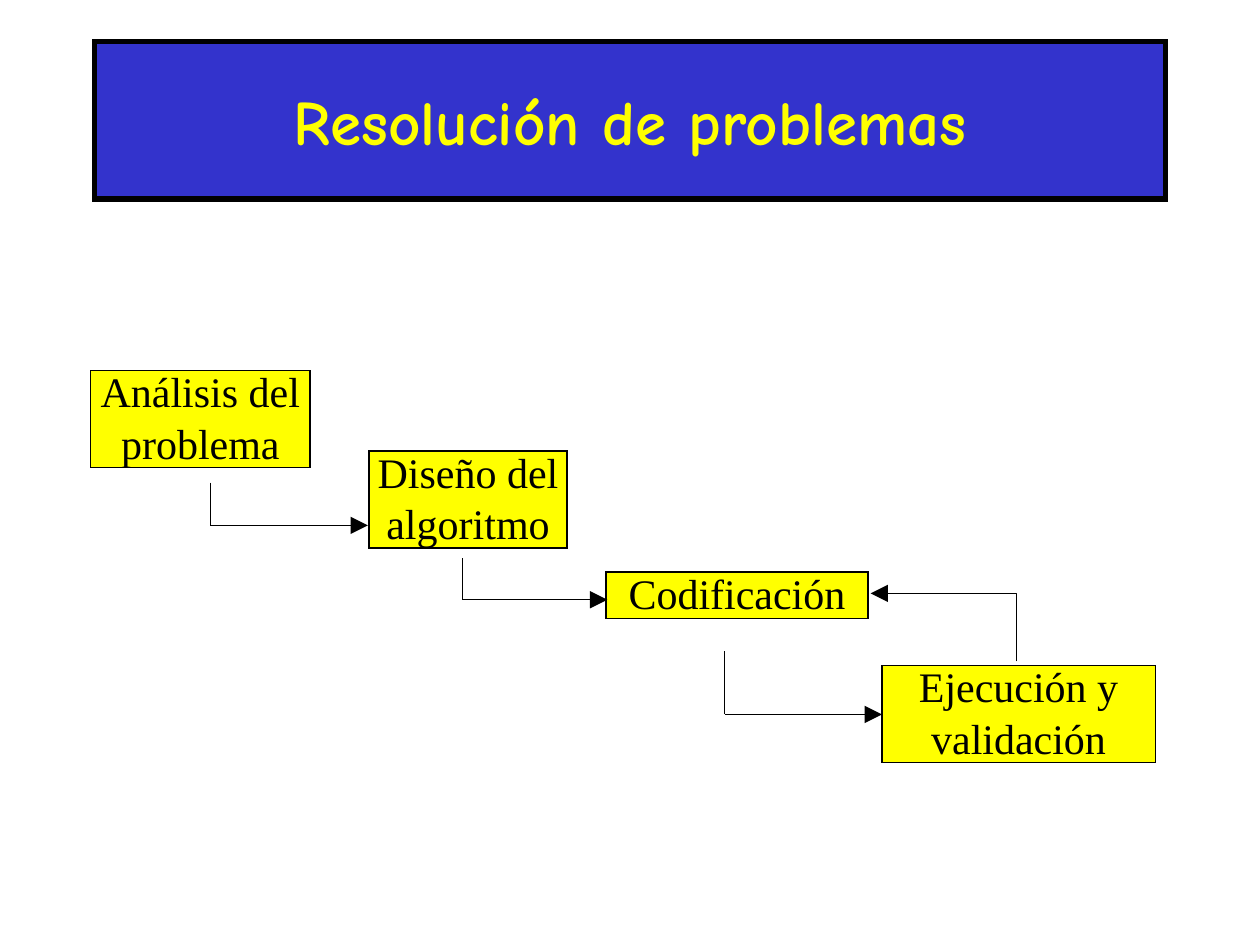
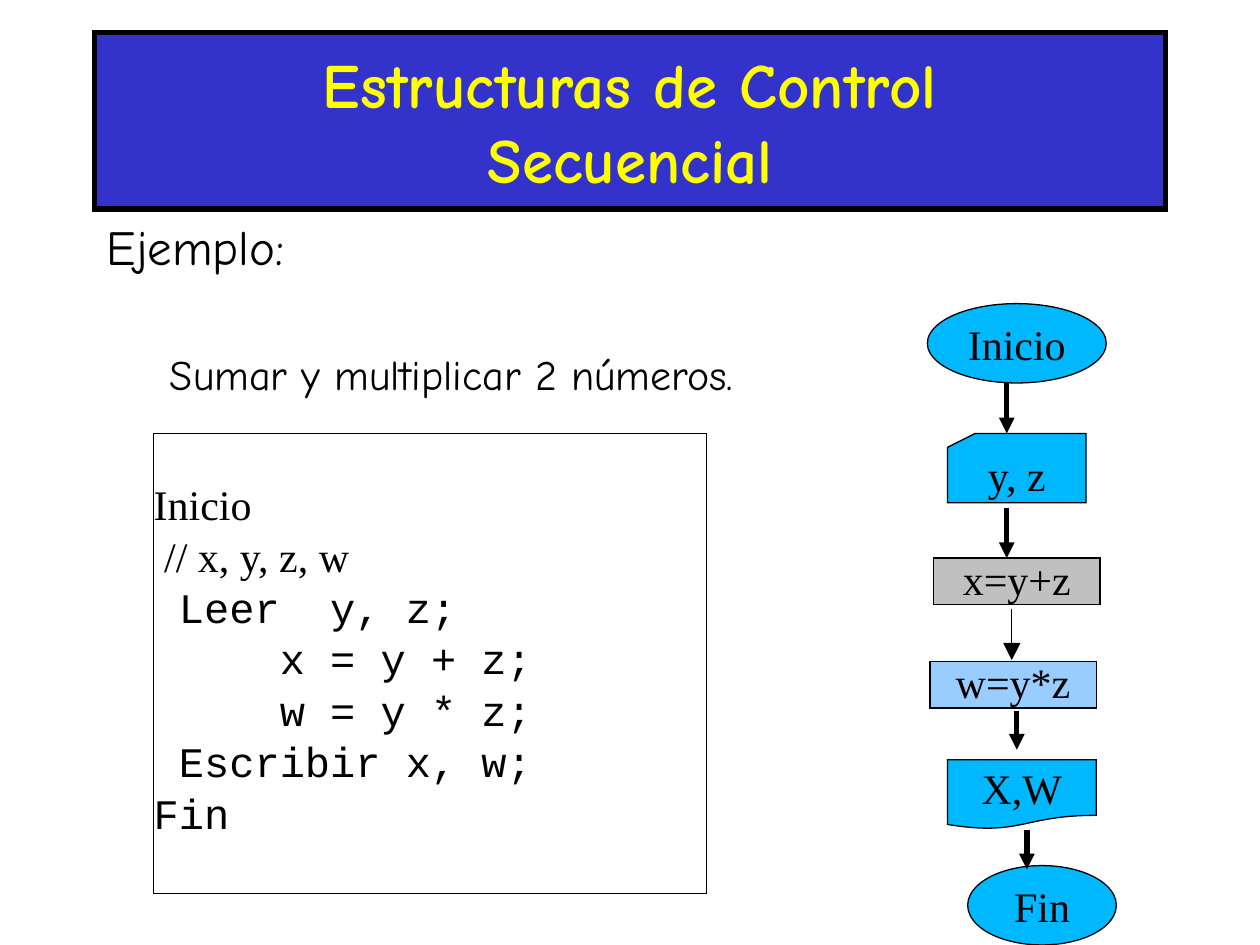
from pptx import Presentation
from pptx.util import Inches, Pt
from pptx.dml.color import RGBColor as Rgb
from pptx.enum.shapes import MSO_SHAPE as Kind, MSO_CONNECTOR as Link
from pptx.enum.text import PP_ALIGN as Align, MSO_ANCHOR as Anchor
from pptx.oxml.ns import qn
from lxml.etree import SubElement as Sub

HUES = {
    "ink": "000000",
    "band": "3333CC",
    "sun": "FFFF00",
    "sky": "00B8FF",
    "pale": "99CCFF",
    "gray": "C0C0C0",
}
HEAD, SERIF, MONO = "Comic Neue", "Times New Roman", "Courier New"
THIN, THICK = 0.75, 3


def hue(name):
    return Rgb.from_string(HUES[name])


def style(para, font, size, tint="ink", bold=False, align=Align.LEFT):
    para.alignment = align
    para.line_spacing = 1.0
    for run in para.runs:
        run.font.name = font
        run.font.size = Pt(size)
        run.font.bold = bold
        run.font.color.rgb = hue(tint)


def inset(frame, side, top):
    frame.margin_left = frame.margin_right = Inches(side)
    frame.margin_top = frame.margin_bottom = Inches(top)


def block(slide, kind, box, fill=None, width=THIN):
    shape = slide.shapes.add_shape(kind, *map(Inches, box))
    shape.shadow.inherit = False
    if fill:
        shape.fill.solid()
        shape.fill.fore_color.rgb = hue(fill)
    else:
        shape.fill.background()
    shape.line.color.rgb = hue("ink")
    shape.line.width = Pt(width)
    Sub(shape.line._get_or_add_ln(), qn("a:miter"), lim="800000")
    return shape


def node(slide, kind, box, text, fill, wrap=True):
    frame = block(slide, kind, box, fill).text_frame
    frame.text = text
    frame.word_wrap = wrap
    frame.vertical_anchor = Anchor.MIDDLE
    inset(frame, 0, 0)
    for para in frame.paragraphs:
        style(para, SERIF, 24, align=Align.CENTER)
    if kind == Kind.RECTANGLE:
        frame.paragraphs[0].line_spacing = 0.93


def tip(shape, size):
    Sub(shape.line._get_or_add_ln(), qn("a:tailEnd"),
        type="triangle", w=size, len=size)


def line(slide, start, end, width=THIN, arrow=True):
    link = slide.shapes.add_connector(
        Link.STRAIGHT, *map(Inches, (*start, *end)))
    link.line.color.rgb = hue("ink")
    link.line.width = Pt(width)
    if arrow:
        tip(link, "lg" if width == THIN else "med")
    Sub(link._element.spPr, qn("a:effectLst"))


def title(slide, top, high, text):
    band = block(slide, Kind.RECTANGLE, (0.75, top, 8.5, high), "band", THICK)
    frame = band.text_frame
    frame.text = text
    frame.word_wrap = True
    frame.vertical_anchor = Anchor.MIDDLE
    inset(frame, 0.1, 0.05)
    style(frame.paragraphs[0], HEAD, 36, "sun", True, Align.CENTER)


def stairs(slide, left, top):
    steps = [
        ("Análisis del\nproblema", 0, 0, 1.74, 0.77),
        ("Diseño del\nalgoritmo", 2.21, 0.64, 1.57, 0.77),
        ("Codificación", 4.09, 1.6, 2.08, 0.37),
        ("Ejecución y\nvalidación", 6.28, 2.34, 2.17, 0.77),
    ]
    for text, x, y, wide, high in steps:
        box = (left + x, top + y, wide, high)
        node(slide, Kind.RECTANGLE, box, text, "sun")

    bends = [(0.95, 0.89, 1.23, 2.2), (2.95, 1.49, 1.82, 4.1),
             (5.03, 2.23, 2.73, 6.28)]
    for x, y, foot, end in bends:
        turn = (left + x, top + foot)
        line(slide, (left + x, top + y), turn, arrow=False)
        line(slide, turn, (left + end, top + foot))

    x, y = left + 7.35, top + 1.77
    pen = slide.shapes.build_freeform(Inches(x), Inches(y + 0.54))
    pen.add_line_segments(
        [(Inches(x), Inches(y)), (Inches(x - 1.16), Inches(y))], close=False)
    back = pen.convert_to_shape()
    back.shadow.inherit = False
    back.fill.background()
    back.line.color.rgb = hue("ink")
    back.line.width = Pt(THIN)
    tip(back, "lg")


def intro(slide, left, top):
    area = slide.shapes.add_textbox(*map(Inches, (left, top, 8.5, 1.7)))
    frame = area.text_frame
    frame.word_wrap = True
    inset(frame, 0.1, 0.05)
    frame.text = "Ejemplo:\nSumar y multiplicar 2 números."
    lead, task = frame.paragraphs
    style(lead, HEAD, 28)
    style(task, HEAD, 24)
    task.space_before = Pt(41.5)
    props = task._p.get_or_add_pPr()
    props.set("marL", str(Inches(0.5)))


def code(slide, left, top):
    box = (left, top, 4.39, 3.65)
    frame = block(slide, Kind.RECTANGLE, box).text_frame
    frame.word_wrap = True
    frame.vertical_anchor = Anchor.TOP
    inset(frame, 0, 0)
    frame.margin_top = Inches(0.35)
    rows = [
        "Inicio",
        " // x, y, z, w",
        " Leer  y, z;",
        "     x = y + z;",
        "     w = y * z;",
        " Escribir x, w;",
        "Fin",
    ]
    frame.text = "\n".join(rows)
    for num, para in enumerate(frame.paragraphs):
        style(para, SERIF if num < 2 else MONO, 24)
        para.line_spacing = Pt(29.4)


def flow(slide, left, top):
    parts = [
        (Kind.OVAL, "Inicio", "sky", 0, 0, 1.42, 0.63),
        (Kind.FLOWCHART_CARD, "y, z", "sky", 0.16, 1.03, 1.1, 0.55),
        (Kind.RECTANGLE, "x=y+z", "gray", 0.05, 2.02, 1.32, 0.37),
        (Kind.RECTANGLE, "w=y*z", "pale", 0.02, 2.84, 1.32, 0.37),
        (Kind.FLOWCHART_DOCUMENT, "X,W", "sky", 0.16, 3.62, 1.18, 0.55),
        (Kind.OVAL, "Fin", "sky", 0.32, 4.46, 1.18, 0.63),
    ]
    for kind, text, fill, x, y, wide, high in parts:
        box = (left + x, top + y, wide, high)
        node(slide, kind, box, text, fill, wrap=False)

    links = [
        (0.63, 0.63, 1.03, THICK),
        (0.63, 1.62, 2.02, THICK),
        (0.67, 2.42, 2.83, THIN),
        (0.71, 3.23, 3.54, THICK),
        (0.79, 4.18, 4.49, THICK),
    ]
    for x, start, end, width in links:
        line(slide, (left + x, top + start), (left + x, top + end), width)


def main():
    deck = Presentation()
    deck.slide_width, deck.slide_height = Inches(10), Inches(7.5)
    blank = deck.slide_layouts[6]

    solve = deck.slides.add_slide(blank)
    title(solve, 0.33, 1.25, "Resolución de problemas")
    stairs(solve, 0.72, 2.94)

    order = deck.slides.add_slide(blank)
    title(order, 0.26, 1.4, "Estructuras de Control\vSecuencial")
    intro(order, 0.75, 1.67)
    code(order, 1.22, 3.44)
    flow(order, 7.36, 2.41)

    deck.save("out.pptx")


if __name__ == "__main__":
    main()
